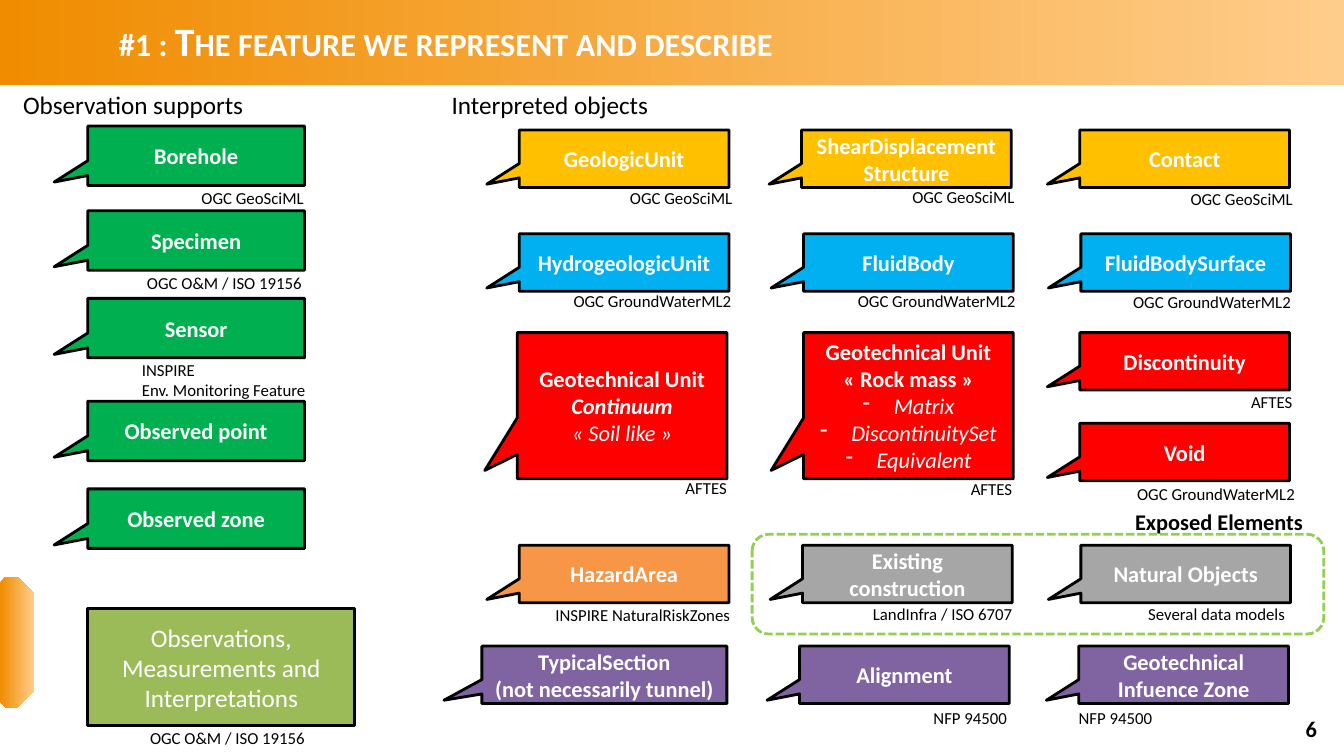
from dataclasses import dataclass

from pptx import Presentation
from pptx import util as u
from pptx.dml.color import RGBColor
from pptx.enum import dml, shapes, text as txt
from pptx.oxml.ns import qn
from lxml import etree


@dataclass(frozen=True)
class Theme:
    font: str = "Calibri"
    black: str = "000000"
    white: str = "FFFFFF"
    orange: str = "F08C00"
    peach: str = "FFCD8B"
    support: str = "00B050"
    geology: str = "FFC000"
    water: str = "00B0F0"
    geotech: str = "FF0000"
    hazard: str = "F79646"
    exposed: str = "A6A6A6"
    project: str = "8064A2"
    result: str = "9BBB59"
    dashes: str = "92D050"
    title: float = 28.8
    heading: float = 18
    label: float = 16
    caption: float = 12


THEME = Theme()
KIND = shapes.MSO_SHAPE
ALIGN = txt.PP_ALIGN
UNIT_SIZE = (2.08, 0.57)
SUPPORT_SIZE = (2.15, 0.59)
MASS_SIZE = (2.08, 1.45)

SUPPORTS = [("Borehole", 1.25), ("Specimen", 2.09), ("Sensor", 2.96),
            ("Observed point", 3.98), ("Observed zone", 4.85)]

UNITS = [
    (THEME.geology, 1.29, [("GeologicUnit", 5.15), ("ShearDisplacement\nStructure", 7.95),
                           ("Contact", 10.71)]),
    (THEME.water, 2.32, [("HydrogeologicUnit", 5.15), ("FluidBody", 7.97),
                         ("FluidBodySurface", 10.72)]),
    (THEME.geotech, 3.3, [("Discontinuity", 10.71)]),
    (THEME.geotech, 4.2, [("Void", 10.71)]),
    (THEME.hazard, 5.41, [("HazardArea", 5.15)]),
    (THEME.exposed, 5.41, [("Existing construction", 7.96), ("Natural Objects", 10.72)]),
    (THEME.project, 6.41, [("Alignment", 7.93), ("Geotechnical Infuence Zone", 10.7)]),
]

CAPTIONS = [
    ("OGC GeoSciML", 1.23, [(1.9, 1.81), (6.15, 1.81), (8.95, 1.8), (11.71, 1.82)]),
    ("OGC GroundWaterML2", 1.78, [(5.59, 2.84), (8.41, 2.84), (11.14, 2.85), (11.18, 4.75)]),
    ("OGC O&M / ISO 19156", 1.76, [(1.36, 2.66), (1.39, 7.17)]),
    ("AFTES", 0.62, [(12.31, 3.84), (6.7, 4.69), (9.53, 4.7)]),
    ("NFP 94500", 0.94, [(9.16, 6.97), (10.6, 6.97)]),
    ("INSPIRE NaturalRiskZones", 1.95, [(5.41, 5.95)]),
    ("LandInfra / ISO 6707", 1.6, [(8.56, 5.94)]),
    ("Several data models", 1.57, [(11.29, 5.94)]),
    ("INSPIRE\nEnv. Monitoring Feature", 1.84, [(1.31, 3.52)]),
]


def rgb(value):
    return RGBColor.from_string(value)


def write(frame, text, size=THEME.label, color=THEME.white, bold=False, italic=False,
          align=ALIGN.CENTER, caps=False, bullet=None, join=False):
    for line in text.split("\n"):
        para = frame.paragraphs[-1]
        if para.runs and not join:
            para = frame.add_paragraph()
        para.alignment = align
        if bullet:
            props = para._p.get_or_add_pPr()
            props.set("marL", str(u.Inches(0.31)))
            props.set("indent", str(u.Inches(-0.31)))
            etree.SubElement(props, qn("a:buChar")).set("char", bullet)
        span = para.add_run()
        span.text = line
        font = span.font
        font.name, font.size = THEME.font, u.Pt(size)
        font.bold, font.italic = bold, italic
        font.color.rgb = rgb(color)
        if caps:
            span._r.get_or_add_rPr().set("cap", "small")


def add_box(page, kind, place, fill=None, line=None):
    box = page.shapes.add_shape(kind, *map(u.Inches, place))
    box.shadow.inherit = False
    if fill:
        box.fill.solid()
        box.fill.fore_color.rgb = rgb(fill)
    else:
        box.fill.background()
    if line:
        box.line.color.rgb = rgb(line)
        box.line.width = u.Pt(2)
    else:
        box.line.fill.background()
    return box


def add_gradient(page, kind, place, angle):
    box = add_box(page, kind, place)
    box.fill.gradient()
    box.fill.gradient_angle = angle
    for stop, color in zip(box.fill.gradient_stops, (THEME.orange, THEME.peach)):
        stop.color.rgb = rgb(color)
    return box


def add_callout(page, place, fill, text=""):
    box = add_box(page, KIND.RECTANGULAR_CALLOUT, place, fill, THEME.black)
    box.adjustments[0], box.adjustments[1] = -0.655, 0.443
    if text:
        write(box.text_frame, text, bold=True)
    return box.text_frame


def add_note(page, place, text, wrap=False, anchor=txt.MSO_ANCHOR.TOP, **style):
    frame = page.shapes.add_textbox(*map(u.Inches, place)).text_frame
    frame.word_wrap = wrap
    frame.vertical_anchor = anchor
    write(frame, text, **{"color": THEME.black, "align": ALIGN.LEFT, **style})


def add_banner(page):
    add_gradient(page, KIND.RECTANGLE, (0, 0, 13.34, 0.84), 0)
    tab = add_gradient(page, KIND.SNIP_2_SAME_RECTANGLE, (-0.48, 6.2, 1.3, 0.34), 270)
    tab.adjustments[0], tab.adjustments[1] = 0.167, 0.5
    tab.rotation = 270
    add_note(page, (1.08, 0.13, 11.18, 0.55), "#1 : The feature we represent and describe",
             wrap=True, anchor=txt.MSO_ANCHOR.MIDDLE, size=THEME.title,
             color=THEME.white, bold=True, caps=True)
    add_note(page, (12.25, 7.05, 0.91, 0.34), "6", wrap=True, bold=True, align=ALIGN.RIGHT)


def add_geotechnical_units(page):
    soil = add_callout(page, (5.13, 3.3, *MASS_SIZE), THEME.geotech, "Geotechnical Unit ")
    write(soil, "Continuum", bold=True, italic=True, join=True)
    write(soil, "« Soil like »", italic=True)
    rock = add_callout(page, (7.97, 3.3, *MASS_SIZE), THEME.geotech,
                       "Geotechnical Unit\n« Rock mass »")
    write(rock, "Matrix\nDiscontinuitySet\nEquivalent", italic=True, bullet="-")


def main():
    deck = Presentation()
    deck.slide_width, deck.slide_height = u.Inches(13.33), u.Inches(7.5)
    page = deck.slides.add_slide(deck.slide_layouts[6])
    add_banner(page)

    for label, top in SUPPORTS:
        add_callout(page, (0.87, top, *SUPPORT_SIZE), THEME.support, label)
    for fill, top, row in UNITS:
        for label, left in row:
            add_callout(page, (left, top, *UNIT_SIZE), fill, label)
    add_callout(page, (4.78, 6.41, 2.43, 0.57), THEME.project,
                "TypicalSection\n(not necessarily tunnel)")
    add_geotechnical_units(page)

    group = add_box(page, KIND.ROUNDED_RECTANGLE, (7.46, 5.3, 5.67, 0.99), line=THEME.dashes)
    group.line.dash_style = dml.MSO_LINE.SQUARE_DOT
    add_note(page, (11.16, 4.99, 1.9, 0.37), "Exposed Elements", bold=True)

    for heading, left in (("Observation supports", 0.13), ("Interpreted objects", 4.38)):
        add_note(page, (left, 0.84, 2.68, 0.4), heading, wrap=True, size=THEME.heading)
    for caption, width, spots in CAPTIONS:
        height = 0.3 + 0.2 * caption.count("\n")
        for left, top in spots:
            add_note(page, (left, top, width, height), caption, size=THEME.caption)

    result = add_box(page, KIND.RECTANGLE, (0.87, 6.04, 2.65, 1.16), THEME.result, THEME.black)
    write(result.text_frame, "Observations, Measurements and Interpretations",
          size=THEME.heading)
    deck.save("out.pptx")


if __name__ == "__main__":
    main()
